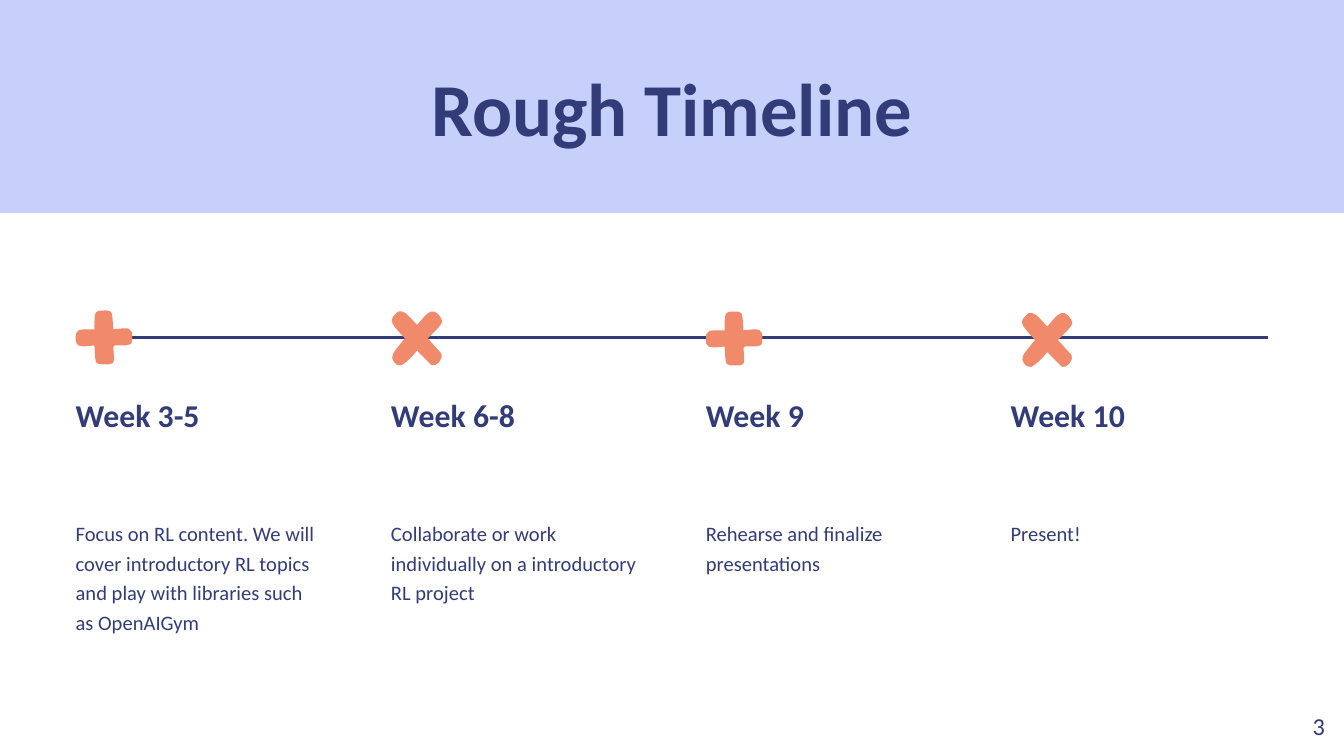
"""Build a four-step timeline slide with a title band."""
from dataclasses import dataclass

from lxml import etree
from pptx import Presentation
from pptx import util as u
from pptx.dml.color import RGBColor
from pptx.enum import shapes, text
from pptx.oxml.ns import qn

TITLE = "Rough Timeline"
PAGE_NUMBER = "3"
STEPS = [
    {"week": "Week 3-5", "left": 1.43, "mark": "plus", "mark_at": (1.43, 5.87), "height": 2.72,
     "task": "Focus on RL content. We will cover introductory RL topics and play with libraries such as OpenAIGym"},
    {"week": "Week 6-8", "left": 7.39, "mark": "cross", "mark_at": (7.4, 5.89), "height": 1.6,
     "task": "Collaborate or work individually on a introductory RL project"},
    {"week": "Week 9", "left": 13.34, "mark": "plus", "mark_at": (13.34, 5.89), "height": 1.04,
     "task": "Rehearse and finalize presentations"},
    {"week": "Week 10", "left": 19.1, "mark": "cross", "mark_at": (19.31, 5.92), "height": 0.48,
     "task": "Present!"},
]
MARKS = {
    "plus": ((21, 0), [
        ((27, 0), (27, -1), (28, 13)), ((28, 14), (28, 14), (28, 14)),
        ((37, 13), (39, 13), (40, 14)), ((42, 15), (42, 17), (42, 19)),
        ((42, 21), (42, 24), (41, 25)), ((39, 26), (38, 26), (29, 26)),
        ((29, 26), (28, 26), (28, 27)), ((29, 41), (29, 40), (22, 40)),
        ((14, 40), (15, 41), (14, 27)), ((14, 27), (14, 26), (14, 26)),
        ((5, 27), (4, 27), (2, 26)), ((0, 25), (0, 23), (0, 20)),
        ((0, 18), (0, 16), (2, 15)), ((3, 14), (5, 14), (14, 14)),
        ((14, 14), (14, 14), (14, 14)), ((14, 0), (14, 0), (21, 0))]),
    "cross": ((27, 20), [
        ((37, 10), (39, 8), (37, 5)), ((36, 3), (34, 1), (32, 0)),
        ((28, -1), (26, 2), (19, 10)), ((11, 1), (9, -1), (5, 0)),
        ((4, 1), (2, 3), (1, 4)), ((-1, 8), (0, 9), (10, 20)),
        ((5, 26), (1, 31), (1, 32)), ((-1, 35), (3, 41), (7, 40)),
        ((10, 39), (16, 33), (19, 29)), ((20, 30), (29, 39), (30, 40)),
        ((33, 41), (39, 36), (37, 31)), ((36, 30), (36, 30), (27, 20))]),
}
MARK_UNIT = u.Cm(2.54) / 100


@dataclass(frozen=True)
class Theme:
    font: str = "Calibri"
    ink: RGBColor = RGBColor.from_string("323C79")
    band: RGBColor = RGBColor.from_string("C7CFFB")
    mark: RGBColor = RGBColor.from_string("F08A6B")
    title: int = 40
    week: int = 17
    task: int = 11
    number: int = 13


THEME = Theme()


def place(item, left, top, width, height):
    item.left, item.top, item.width, item.height = map(u.Cm, (left, top, width, height))


def write(box, words, size, bold=False, align=text.PP_ALIGN.LEFT, spacing=None,
          inset=0, fit=text.MSO_AUTO_SIZE.SHAPE_TO_FIT_TEXT):
    frame = box.text_frame
    frame.text = words
    frame.word_wrap = True
    frame.auto_size = fit
    frame.vertical_anchor = text.MSO_ANCHOR.TOP
    frame.margin_left = frame.margin_right = frame.margin_top = frame.margin_bottom = u.Cm(inset)
    para = frame.paragraphs[0]
    para.alignment = align
    para.line_spacing = spacing
    font = para.runs[0].font
    font.name, font.size, font.bold = THEME.font, u.Pt(size), bold
    font.color.rgb = THEME.ink


def add_text(page, spot, words, size, **style):
    box = page.shapes.add_textbox(*map(u.Cm, spot))
    write(box, words, size, **style)


def paint(shape, color):
    shape.fill.solid()
    shape.fill.fore_color.rgb = color
    shape.line.fill.background()
    shape.shadow.inherit = False


def curve_outline(shape, curves):
    left, top = (min(curve[-1][axis] for curve in curves) for axis in (0, 1))
    for line, curve in zip(list(shape._element.iter(qn("a:lnTo"))), curves):
        bend = etree.Element(qn("a:cubicBezTo"))
        for x, y in curve:
            etree.SubElement(bend, qn("a:pt"), x=str(x - left), y=str(y - top))
        line.getparent().replace(line, bend)


def add_mark(page, kind, spot):
    start, curves = MARKS[kind]
    builder = page.shapes.build_freeform(*start, scale=MARK_UNIT)
    builder.add_line_segments([curve[-1] for curve in curves], close=True)
    mark = builder.convert_to_shape(*map(u.Cm, spot))
    curve_outline(mark, curves)
    paint(mark, THEME.mark)


def add_heading(page):
    title = page.shapes.title
    band = page.shapes.add_shape(shapes.MSO_SHAPE.RECTANGLE, 0, 0, u.Cm(25.4), u.Cm(4.03))
    paint(band, THEME.band)
    title._element.addprevious(band._element)
    place(title, 1.43, 1.16, 22.54, 1.7)
    title.fill.solid()
    title.fill.fore_color.rgb = THEME.band
    write(title, TITLE, THEME.title, bold=True, align=text.PP_ALIGN.CENTER)


def add_axis(page):
    axis = page.shapes.add_connector(
        shapes.MSO_CONNECTOR.STRAIGHT, *map(u.Cm, (1.43, 6.38, 23.97, 6.38)))
    axis.line.color.rgb = THEME.ink
    axis.line.width = u.Pt(1.5)
    etree.SubElement(axis._element.spPr, qn("a:effectLst"))


def main():
    deck = Presentation()
    deck.slide_width, deck.slide_height = u.Cm(25.4), u.Cm(14.29)
    page = deck.slides.add_slide(deck.slide_layouts[5])
    add_heading(page)
    add_axis(page)
    for step in STEPS:
        left = step["left"]
        add_text(page, (left, 7.48, 4.67, 0.74), step["week"], THEME.week, bold=True)
        add_text(page, (left, 9.76, 4.67, step["height"]), step["task"], THEME.task, spacing=1.2)
        add_mark(page, step["mark"], step["mark_at"])
    add_text(page, (23.77, 13.19, 1.52, 1.09), PAGE_NUMBER, THEME.number,
             align=text.PP_ALIGN.RIGHT, inset=0.25, fit=text.MSO_AUTO_SIZE.NONE)
    deck.save("out.pptx")


if __name__ == "__main__":
    main()
